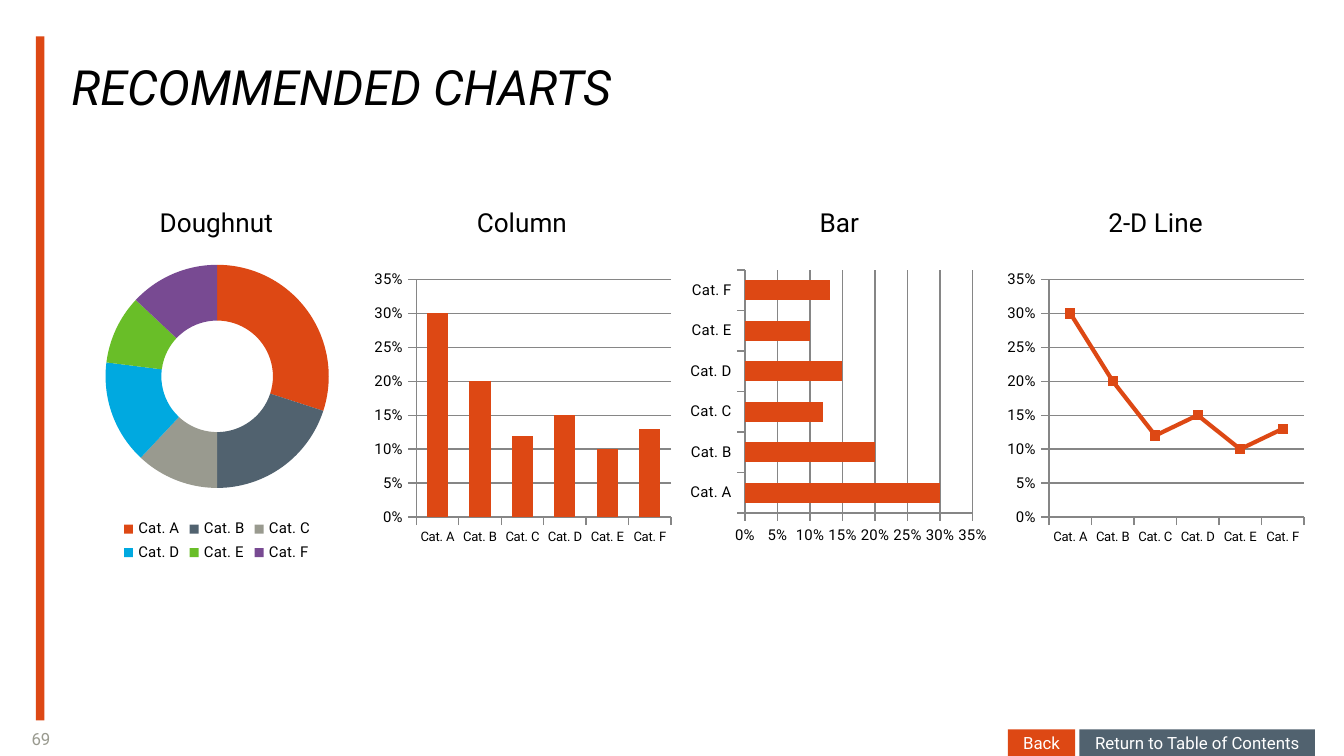
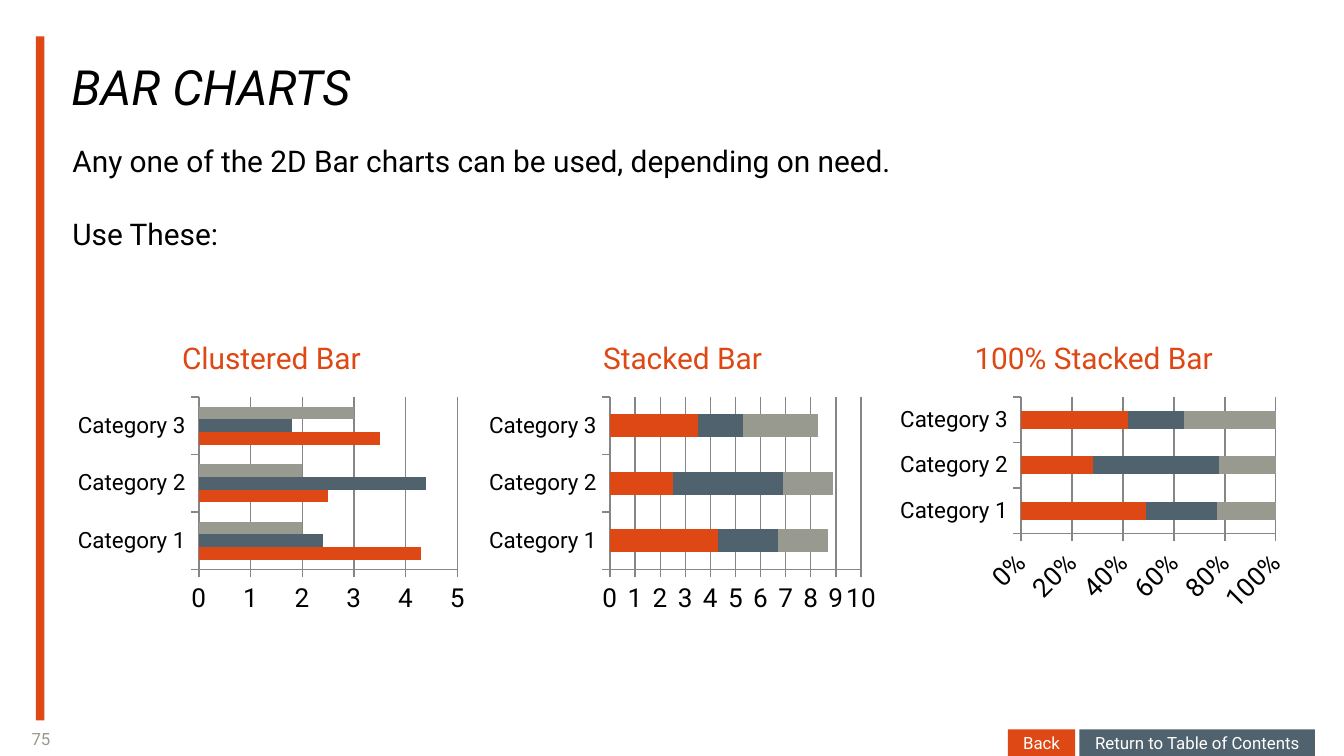
from pptx import Presentation
from pptx import util as u
from pptx import oxml
from pptx.chart import data
from pptx.dml import color
from pptx.enum import chart as charts, shapes, text
from pptx.oxml import ns

COLORS = {
    "orange": "DD4814",
    "slate": "51626F",
    "stone": "999A8F",
    "blue": "00A9E0",
    "green": "69BE28",
    "purple": "784A92",
    "black": "000000",
    "white": "FFFFFF",
    "grid": "868686",
}
PALETTE = ["orange", "slate", "stone", "blue", "green", "purple"]
FONT = "Roboto"
KIND = charts.XL_CHART_TYPE
CENTER = text.PP_ALIGN.CENTER
MIDDLE = text.MSO_ANCHOR.MIDDLE


def rgb(name):
    return color.RGBColor.from_string(COLORS[name])


def box(left, top, width, height):
    return [u.Cm(value) for value in (left, top, width, height)]


def paint(fill, name):
    fill.solid()
    fill.fore_color.rgb = rgb(name)


def style_font(font, size, name="black", italic=None):
    font.name = FONT
    font.size = u.Pt(size)
    font.color.rgb = rgb(name)
    font.italic = italic


class Deck:
    def __init__(self):
        self.presentation = Presentation()
        self.presentation.slide_width = u.Cm(25.4)
        self.presentation.slide_height = u.Cm(14.29)
        self.slide = None

    def add_slide(self, title, number):
        layout = self.presentation.slide_layouts[6]
        self.slide = self.presentation.slides.add_slide(layout)
        self.add_text([str(number)], (0, 13.64, 1.55, 0.66), 9, "stone",
                      align=CENTER, anchor=MIDDLE)
        self.add_block((0.68, 0.69, 0.16, 12.93), "orange")
        self.add_text([title], (1.35, 0.66, 21.34, 1.52), 26, italic=True,
                      anchor=text.MSO_ANCHOR.BOTTOM)
        self.add_button("Return to Table of Contents", 20.4, 4.45, "slate")
        self.add_button("Back", 19.05, 1.27, "orange")

    def fill_frame(self, frame, lines, size, name, align, anchor,
                   margins=(0, 0), italic=None, gap=0):
        frame.word_wrap = True
        frame.vertical_anchor = anchor
        frame.margin_left = frame.margin_right = u.Cm(margins[0])
        frame.margin_top = frame.margin_bottom = u.Cm(margins[1])
        for index, line in enumerate(lines):
            paragraph = frame.add_paragraph() if index else frame.paragraphs[0]
            paragraph.text = line
            paragraph.alignment = align
            if index:
                paragraph.space_before = u.Pt(gap)
            style_font(paragraph.font, size, name, italic)

    def add_text(self, lines, place, size, name="black",
                 align=text.PP_ALIGN.LEFT, anchor=text.MSO_ANCHOR.TOP, **options):
        shape = self.slide.shapes.add_textbox(*box(*place))
        self.fill_frame(shape.text_frame, lines, size, name, align, anchor, **options)

    def add_block(self, place, name):
        shape = self.slide.shapes.add_shape(shapes.MSO_SHAPE.RECTANGLE, *box(*place))
        shape.shadow.inherit = False
        shape.line.fill.background()
        paint(shape.fill, name)
        return shape

    def add_button(self, label, left, width, name):
        shape = self.add_block((left, 13.79, width, 0.51), name)
        self.fill_frame(shape.text_frame, [label], 9, "white", CENTER, MIDDLE,
                        margins=(0.18, 0.1))

    def add_chart(self, kind, place, categories, rows, size):
        chart_data = data.CategoryChartData()
        chart_data.categories = categories
        for index, values in enumerate(rows, 1):
            chart_data.add_series(f"Series {index}", values)
        frame = self.slide.shapes.add_chart(kind, *box(*place), chart_data)
        chart = frame.chart
        chart.has_title = False
        chart.has_legend = False
        style_font(chart.font, size)
        chart.plots[0].vary_by_categories = False
        return chart

    def add_doughnut(self, place, categories, values):
        chart = self.add_chart(KIND.DOUGHNUT, place, categories, [values], 8)
        plot = chart.plots[0]
        plot.vary_by_categories = True
        for index, name in enumerate(PALETTE):
            paint(plot.series[0].points[index].format.fill, name)
        chart.has_legend = True
        chart.legend.position = charts.XL_LEGEND_POSITION.BOTTOM
        chart.legend.include_in_layout = False
        style_font(chart.legend.font, 8)
        plot._element.find(ns.qn("c:holeSize")).set("val", "82")
        area = plot._element.getparent()
        for layout in area.findall(ns.qn("c:layout")):
            area.remove(layout)
        edges = {"xMode": "edge", "yMode": "edge", "x": 0.11, "y": 0,
                 "w": 0.78, "h": 0.74}
        items = "".join(f'<c:{key} val="{value}"/>' for key, value in edges.items())
        area.insert(0, oxml.parse_xml(
            f'<c:layout {ns.nsdecls("c")}><c:manualLayout>'
            f'<c:layoutTarget val="inner"/>{items}</c:manualLayout></c:layout>'))

    def add_axis_chart(self, kind, place, categories, rows, size, category_size,
                       number_format, gap=100):
        chart = self.add_chart(kind, place, categories, rows, size)
        for axis, axis_size in ((chart.category_axis, category_size),
                                (chart.value_axis, size)):
            axis.major_tick_mark = charts.XL_TICK_MARK.OUTSIDE
            axis.minor_tick_mark = charts.XL_TICK_MARK.NONE
            axis.format.line.color.rgb = rgb("grid")
            axis.format.line.width = u.Pt(0.75)
            style_font(axis.tick_labels.font, axis_size)
        labels = chart.value_axis.tick_labels
        labels.number_format = number_format
        labels.number_format_is_linked = False
        chart.value_axis.has_major_gridlines = True
        grid = chart.value_axis.major_gridlines.format.line
        grid.color.rgb = rgb("grid")
        grid.width = u.Pt(0.75)
        plot = chart.plots[0]
        if kind == KIND.LINE_MARKERS_STACKED:
            self.style_line(plot.series[0])
            return
        plot.gap_width = gap
        plot.overlap = 0 if kind in (KIND.BAR_CLUSTERED, KIND.COLUMN_CLUSTERED) else 100
        for series, name in zip(plot.series, PALETTE):
            paint(series.format.fill, name)

    def style_line(self, series):
        series.smooth = False
        series.format.line.color.rgb = rgb("orange")
        series.format.line.width = u.Pt(2.25)
        series.marker.style = charts.XL_MARKER_STYLE.SQUARE
        series.marker.size = 5
        paint(series.marker.format.fill, "orange")
        series.marker.format.line.color.rgb = rgb("orange")


def build_recommended(deck):
    deck.add_slide("RECOMMENDED CHARTS", 69)
    categories = [f"Cat. {letter}" for letter in "ABCDEF"]
    percents = [30, 20, 12, 15, 10, 13]
    shares = [value / 100 for value in percents]
    deck.add_doughnut((1.4, 5, 5.41, 5.72), categories, percents)
    for kind, left, category_size in (
        (KIND.COLUMN_CLUSTERED, 6.96, 7),
        (KIND.BAR_CLUSTERED, 12.93, 8),
        (KIND.LINE_MARKERS_STACKED, 18.92, 7),
    ):
        deck.add_axis_chart(kind, (left, 5, 5.84, 5.4), categories, [shares],
                            8, category_size, "0%")
    for label, left, width in (("Doughnut", 2.11, 3.96), ("Column", 7.44, 4.85),
                               ("Bar", 13.44, 4.85), ("2-D Line", 19.15, 5.38)):
        deck.add_text([label], (left, 3.61, width, 1.19), 14, align=CENTER,
                      anchor=MIDDLE, margins=(0.25, 0.25))


def build_bars(deck):
    deck.add_slide("BAR CHARTS", 75)
    deck.add_text(["Any one of the 2D Bar charts can be used, depending on need.",
                   "Use These:"], (1.37, 2.69, 23.39, 10.92), 16, gap=20)
    categories = [f"Category {number}" for number in range(1, 4)]
    values = [(4.3, 2.5, 3.5), (2.4, 4.4, 1.8), (2, 2, 3)]
    percents = [(49, 28, 42), (28, 49, 22), (23, 22, 36)]
    for index, (label, kind, rows, number_format) in enumerate((
        ("Clustered Bar", KIND.BAR_CLUSTERED, values, "General"),
        ("Stacked Bar", KIND.BAR_STACKED, values, "General"),
        ("100% Stacked Bar", KIND.BAR_STACKED_100, percents, "0%"),
    )):
        left = 1.32 + 7.77 * index
        deck.add_text([label], (left + 0.51, 6.43, 6.6, 1.02), 16, "orange",
                      align=CENTER)
        deck.add_axis_chart(kind, (left, 7.42, 7.62, 4.29), categories, rows,
                            14, 12, number_format, gap=150)


def main():
    deck = Deck()
    build_recommended(deck)
    build_bars(deck)
    deck.presentation.save("out.pptx")


if __name__ == "__main__":
    main()
